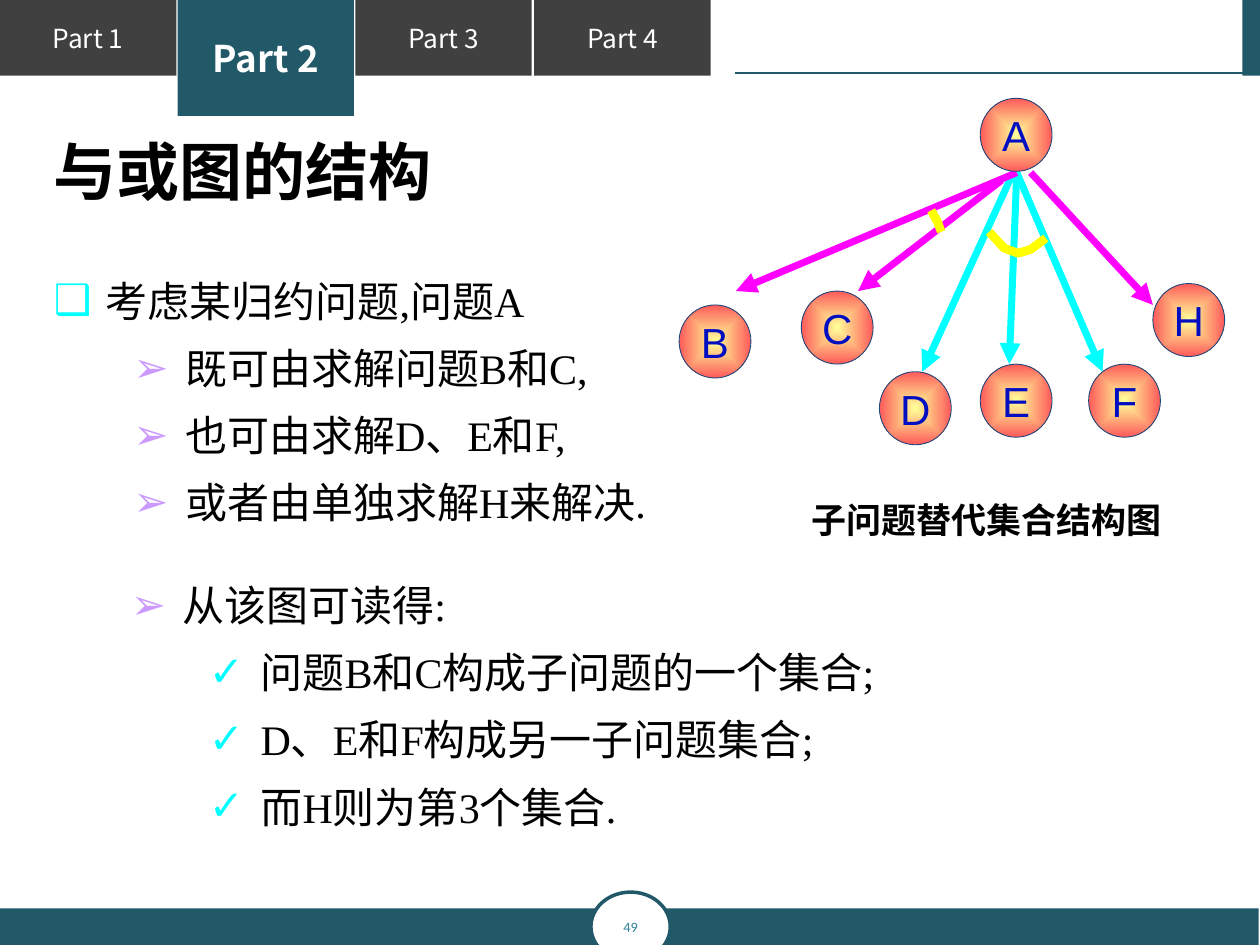
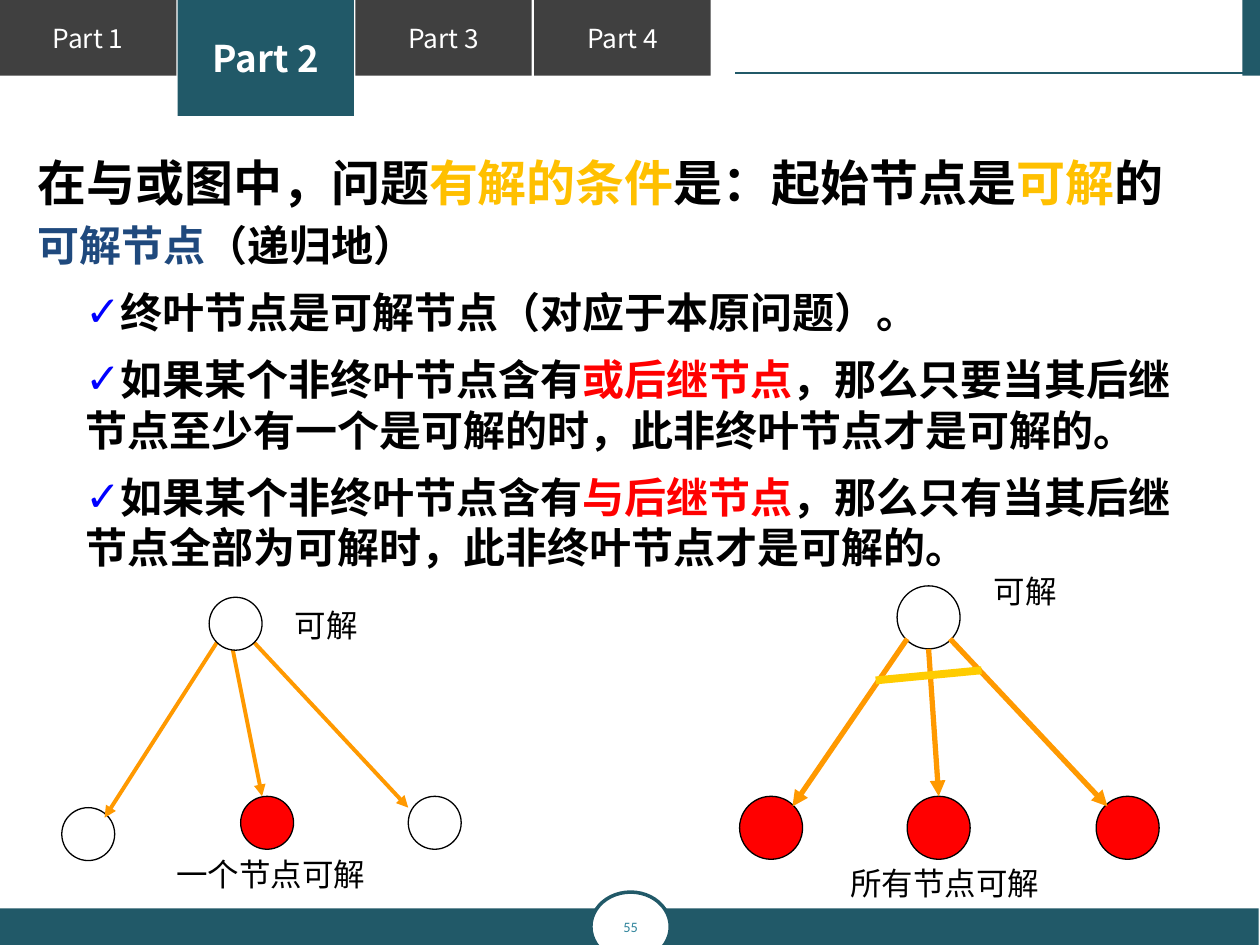
from dataclasses import dataclass
from typing import Any, NamedTuple

import pptx
import pptx.dml.color
import pptx.enum.shapes
import pptx.enum.text
import pptx.oxml
import pptx.oxml.ns
import pptx.util
from lxml import etree

PX = 9144  # EMU per px, 100 px to the inch

TEAL, CHARCOAL, WHITE, BLACK = "215968", "404040", "FFFFFF", "000000"
CYAN, MAGENTA, LILAC, NAVY = "00FFFF", "FF00FF", "CC99FF", "1F497D"
RED, ORANGE, GOLD, YELLOW = "FF0000", "FF9900", "FFC000", "FFFF00"
CJK, SERIF, SANS, LETTER = "Noto Sans CJK SC", "Times New Roman", "Calibri", "Arial"

SHAPE = pptx.enum.shapes.MSO_SHAPE
ANCHOR = pptx.enum.text.MSO_ANCHOR
ALIGN = pptx.enum.text.PP_ALIGN


class Box(NamedTuple):
    left: int
    top: int
    width: int
    height: int


class Bullet(NamedTuple):
    char: str
    color: str


class Span(NamedTuple):
    text: str
    color: str = BLACK


@dataclass
class Para:
    spans: list[Span]
    size: float
    font: str = CJK
    bold: bool = False
    gap: float = 0  # points before
    indent: int = 0
    hang: int = 0
    bullet: Bullet | None = None
    align: Any = ALIGN.LEFT


class Node(NamedTuple):
    box: Box
    fill: str = WHITE


class Arrow(NamedTuple):
    start: tuple[int, int]
    end: tuple[int, int]
    color: str = ORANGE
    weight: float = 2.25
    head: bool = True


# ---- drawing helpers ----
def rgb(value: str) -> pptx.dml.color.RGBColor:
    return pptx.dml.color.RGBColor.from_string(value)


def emu(*lengths: int) -> list[pptx.util.Emu]:
    return [pptx.util.Emu(length * PX) for length in lengths]


def apply(target: Any, values: dict[str, Any]) -> None:
    for key, value in values.items():
        setattr(target, key, value)


def add_child(parent: Any, tag: str, **attributes: str) -> Any:
    child = etree.SubElement(parent, pptx.oxml.ns.qn(tag))
    for key, value in attributes.items():
        child.set(key, value)
    return child


def set_line(line: Any, color: str | None, weight: float) -> None:
    if color is None:
        line.fill.background()
        return
    line.color.rgb = rgb(color)
    line.width = pptx.util.Pt(weight)


def write(frame: Any, paras: list[Para], anchor: Any = ANCHOR.TOP,
          **frame_format: Any) -> None:
    apply(frame, {"word_wrap": True, "vertical_anchor": anchor} | frame_format)
    for index, para in enumerate(paras):
        paragraph = frame.paragraphs[0] if index == 0 else frame.add_paragraph()
        apply(paragraph, {
            "alignment": para.align,
            "line_spacing": pptx.util.Pt(round(para.size * 1.2, 1)),
            "space_before": pptx.util.Pt(para.gap),
        })
        properties = paragraph._p.get_or_add_pPr()
        properties.set("marL", str(para.indent * PX))
        properties.set("indent", str(-para.hang * PX))
        if para.bullet:
            color = add_child(properties, "a:buClr")
            add_child(color, "a:srgbClr", val=para.bullet.color)
            add_child(properties, "a:buFont", typeface=LETTER)
            add_child(properties, "a:buChar", char=para.bullet.char)
        for span in para.spans:
            run = paragraph.add_run()
            run.text = span.text
            apply(run.font, {"size": pptx.util.Pt(para.size),
                             "bold": para.bold, "name": para.font})
            run.font.color.rgb = rgb(span.color)
            add_child(run._r.get_or_add_rPr(), "a:ea", typeface=CJK)


def add_text(slide: Any, box: Box, paras: list[Para], anchor: Any = ANCHOR.TOP) -> None:
    write(slide.shapes.add_textbox(*emu(*box)).text_frame, paras, anchor)


def add_shape(slide: Any, kind: Any, box: Box, fill: str,
              line: str | None = None, weight: float = 0.75) -> Any:
    shape = slide.shapes.add_shape(kind, *emu(*box))
    shape.shadow.inherit = False
    shape.fill.solid()
    shape.fill.fore_color.rgb = rgb(fill)
    set_line(shape.line, line, weight)
    return shape


def label(shape: Any, text: str, size: float, font: str, color: str,
          bold: bool = False, wrap: bool = True) -> None:
    para = Para([Span(text, color)], size, font, bold, align=ALIGN.CENTER)
    write(shape.text_frame, [para], ANCHOR.MIDDLE, word_wrap=wrap,
          margin_left=0, margin_right=0, margin_top=0, margin_bottom=0)


def add_arrow(slide: Any, arrow: Arrow) -> None:
    connector = slide.shapes.add_connector(
        pptx.enum.shapes.MSO_CONNECTOR.STRAIGHT, *emu(*arrow.start, *arrow.end))
    set_line(connector.line, arrow.color, arrow.weight)
    if arrow.head:
        add_child(connector.line._get_or_add_ln(), "a:tailEnd", type="triangle")
    add_child(connector._element.spPr, "a:effectLst")


def add_arc(slide: Any, points: list[tuple[int, int]]) -> None:
    builder = slide.shapes.build_freeform(*points[0], scale=PX)
    builder.add_line_segments(points[1:], close=False)
    arc = builder.convert_to_shape()
    arc.shadow.inherit = False
    arc.fill.background()
    set_line(arc.line, YELLOW, 5)


def add_problem(slide: Any, name: str, left: int, top: int) -> None:
    """Lettered circle with a glow from its centre."""
    problem = add_shape(slide, SHAPE.OVAL, Box(left, top, 57, 58), WHITE, NAVY, 0.5)
    problem.fill.gradient()
    for stop, position, color in zip(problem.fill.gradient_stops, (0, 1),
                                     ("FFFF99", "FE5A5A")):
        stop.position = position
        stop.color.rgb = rgb(color)
    gradient = problem._element.spPr.find(pptx.oxml.ns.qn("a:gradFill"))
    gradient.remove(gradient.find(pptx.oxml.ns.qn("a:lin")))
    glow = add_child(gradient, "a:path", path="shape")
    add_child(glow, "a:fillToRect", l="50000", t="50000", r="50000", b="50000")
    label(problem, name, 24, LETTER, "000EC2", wrap=False)


def add_nodes(slide: Any, nodes: list[Node]) -> None:
    for node in nodes:
        add_shape(slide, SHAPE.OVAL, node.box, node.fill, BLACK)


# ---- shared frame: tabs, rule, footer ----
def add_framed_slide(deck: Any, number: int, current_part: int = 2) -> Any:
    slide = deck.slides.add_slide(deck.slide_layouts[6])
    for part in range(1, 5):
        current = part == current_part
        tab = add_shape(slide, SHAPE.RECTANGLE,
                        Box((part - 1) * 424 // 3, 0, 140, 92 if current else 60),
                        TEAL if current else CHARCOAL)
        label(tab, f"Part {part}", 21 if current else 15, CJK, WHITE, bold=current)
    for band in (Box(986, 0, 15, 60), Box(0, 721, 999, 29)):
        add_shape(slide, SHAPE.RECTANGLE, band, TEAL)
    badge = add_shape(slide, SHAPE.OVAL, Box(469, 708, 63, 55), WHITE, TEAL, 2)
    label(badge, str(number), 8.2, SANS, "31859C")
    add_arrow(slide, Arrow((993, 58), (583, 58), TEAL, 0.75, head=False))
    return slide


# ---- slide: structure of the and-or graph ----
def build_structure(deck: Any) -> None:
    slide = add_framed_slide(deck, 49)

    def item(text: str, level: int, bullet: Bullet, gap: float = 9.6) -> Para:
        return Para([Span(text)], 24, SERIF, gap=gap, indent=(41, 104, 166)[level],
                    hang=41, bullet=bullet)

    box_mark, point, check = Bullet("❑", CYAN), Bullet("➢", LILAC), Bullet("✓", CYAN)
    ways = ["既可由求解问题B和C,", "也可由求解D、E和F,", "或者由单独求解H来解决."]
    sets = ["问题B和C构成子问题的一个集合;", "D、E和F构成另一子问题集合;", "而H则为第3个集合."]
    add_text(slide, Box(33, 100, 542, 358), [
        Para([Span("与或图的结构")], 36, SERIF, bold=True),
        item("考虑某归约问题,问题A", 0, box_mark, gap=38.5),
        *(item(way, 1, point) for way in ways),
    ])

    # Problem graph
    for name, left, top in [("B", 539, 242), ("C", 636, 231), ("D", 698, 295),
                            ("E", 778, 289), ("F", 864, 289), ("H", 915, 225)]:
        add_problem(slide, name, left, top)
    for start, end, color in [
        ((805, 135), (732, 295), CYAN), ((795, 143), (681, 231), MAGENTA),
        ((807, 137), (875, 295), CYAN), ((807, 137), (801, 289), CYAN),
        ((818, 137), (915, 242), MAGENTA), ((807, 137), (584, 231), MAGENTA),
    ]:
        add_arrow(slide, Arrow(start, end, color, 4))
    add_problem(slide, "A", 778, 78)
    add_arc(slide, [(785, 184), (797, 197), (808, 201), (818, 198), (830, 189)])
    add_arc(slide, [(739, 167), (744, 176), (747, 184)])
    add_text(slide, Box(634, 391, 350, 43),
             [Para([Span("子问题替代集合结构图")], 20, bold=True)])

    # Reading of the graph
    add_text(slide, Box(31, 455, 960, 235), [
        item("从该图可读得:", 1, point, gap=0),
        *(item(text, 2, check) for text in sets),
    ])


# ---- slide: solvable nodes ----
def build_solvable(deck: Any) -> None:
    slide = add_framed_slide(deck, 55)
    check = Bullet("✓", "0000FF")
    rules = [
        [Span("终叶节点是可解节点（对应于本原问题）。")],
        [Span("如果某个非终叶节点含有"), Span("或后继节点", RED),
         Span("，那么只要当其后继节点至少有一个是可解的时，此非终叶节点才是可解的。")],
        [Span("如果某个非终叶节点含有"), Span("与后继节点", RED),
         Span("，那么只有当其后继节点全部为可解时，此非终叶节点才是可解的。")],
    ]
    add_text(slide, Box(20, 87, 945, 372), [
        Para([Span("在与或图中，问题"), Span("有解的条件", GOLD), Span("是：起始节点是"),
              Span("可解", GOLD), Span("的")], 28, bold=True),
        Para([Span("可解节点", NAVY), Span("（递归地）")], 24, bold=True, gap=4.8),
        *(Para(rule, 24, bold=True, gap=9.6, indent=38, bullet=check) for rule in rules),
    ], ANCHOR.BOTTOM)

    # Or tree: one solvable child is enough
    add_nodes(slide, [Node(Box(49, 641, 42, 42)), Node(Box(191, 632, 42, 42), RED),
                      Node(Box(324, 632, 42, 42))])
    for start, end in [((174, 507), (83, 649)), ((183, 507), (208, 632)),
                       ((199, 507), (324, 641))]:
        add_arrow(slide, Arrow(start, end))
    add_nodes(slide, [Node(Box(166, 474, 42, 42))])

    # And tree: every child must be solvable
    add_nodes(slide, [Node(Box(712, 465, 50, 50)),
                      *(Node(Box(left, 632, 50, 50), RED) for left in (587, 720, 870))])
    for start, end in [((720, 507), (629, 640)), ((737, 515), (745, 632)),
                       ((754, 507), (879, 640))]:
        add_arrow(slide, Arrow(start, end, weight=3))
    add_arrow(slide, Arrow((695, 540), (779, 532), "FFCC00", 4.5, head=False))

    # Tree captions
    for text, box in [("一个节点可解", Box(130, 674, 292, 57)),
                      ("可解", Box(224, 476, 100, 57)),
                      ("所有节点可解", Box(665, 681, 300, 57)),
                      ("可解", Box(779, 449, 108, 57))]:
        add_text(slide, box, [Para([Span(text)], 18, SANS)])


def main() -> None:
    deck = pptx.Presentation()
    deck.slide_width, deck.slide_height = emu(1000, 750)
    build_structure(deck)
    build_solvable(deck)
    deck.save("out.pptx")


if __name__ == "__main__":
    main()
